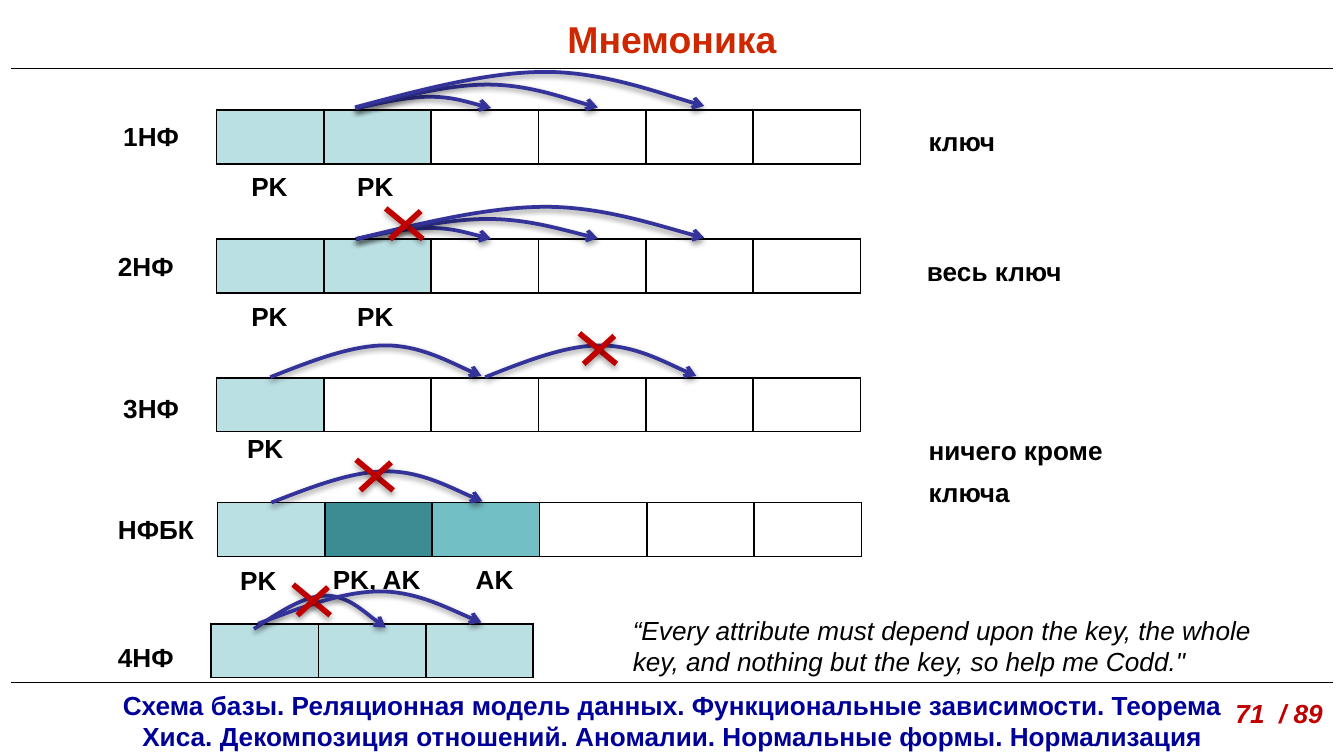
from dataclasses import dataclass, field

from lxml import etree
from pptx import Presentation
from pptx import util as u
from pptx.dml.color import RGBColor
from pptx.enum import shapes, text
from pptx.oxml.ns import qn

FONT = "Arial"
BLACK, WHITE = "000000", "FFFFFF"
KEY, SHARED_KEY, ALT_KEY = "BBE0E3", "3C8C93", "72BFC5"
ARC, CROSS = "333399", "C00000"
CELL_WIDTH, CELL_HEIGHT = 2.03, 1.02


# All lengths in the records are centimetres
@dataclass
class Label:
    words: str
    left: float
    top: float
    width: float = 2.8
    height: float = 0.86
    indent: float = 0.99


@dataclass
class Arc:
    left: float
    base: float
    width: float
    height: float


@dataclass
class NormalForm:
    left: float
    top: float
    fills: list[str]
    labels: list[Label]
    arcs: list[Arc]
    crosses: list[tuple[float, float]] = field(default_factory=list)


FORMS = [
    NormalForm(4.09, 2.08, [KEY] * 2 + [WHITE] * 4,
               [Label("1НФ", 1.09, 2.16), Label("PK", 3.51, 3.1), Label("PK", 5.51, 3.1),
                Label("ключ", 16.31, 2.24)],
               [Arc(6.73, 2.05, 2.55, 0.22), Arc(6.73, 2.05, 4.57, 0.45),
                Arc(6.71, 2.03, 6.6, 0.67)]),
    NormalForm(4.09, 4.52, [KEY] * 2 + [WHITE] * 4,
               [Label("2НФ", 0.99, 4.6), Label("PK", 3.51, 5.56), Label("PK", 5.51, 5.56),
                Label("весь ключ", 16.28, 4.7, 4.22)],
               [Arc(6.73, 4.52, 2.55, 0.21), Arc(6.73, 4.52, 4.57, 0.38),
                Arc(6.73, 4.52, 6.58, 0.61)],
               [(7.29, 3.94)]),
    NormalForm(4.09, 7.14, [KEY] + [WHITE] * 5,
               [Label("3НФ", 1.09, 7.29), Label("PK", 3.43, 8.05),
                Label("ничего кроме\nключа", 16.31, 8.08, 6.6, 1.68)],
               [Arc(5.11, 7.13, 3.99, 0.6), Arc(9.17, 7.13, 3.99, 0.6)],
               [(10.95, 6.3)]),
    NormalForm(4.11, 9.5, [KEY, SHARED_KEY, ALT_KEY] + [WHITE] * 3,
               [Label("НФБК", 0.99, 9.58, 3), Label("PK", 3.3, 10.54),
                Label("PK, AK", 5.05, 10.52, 3.4), Label("AK", 8.74, 10.52, 1.45, indent=0)],
               [Arc(5.13, 9.5, 3.99, 0.59)],
               [(6.73, 8.69)]),
    NormalForm(3.99, 11.79, [KEY] * 3,
               [Label("4НФ", 0.99, 11.99, 3)],
               [Arc(4.8, 11.89, 2.49, 0.63), Arc(4.88, 11.79, 4.22, 0.61)],
               [(5.54, 11.05)]),
]


def rgb(color: str) -> RGBColor:
    return RGBColor.from_string(color)


def child(parent, tag: str, **attributes):
    return etree.SubElement(parent, qn(tag), {k: str(v) for k, v in attributes.items()})


def format_runs(frame, size: float, color: str, bold=False, italic=False) -> None:
    for paragraph in frame.paragraphs:
        for run in paragraph.runs:
            font = run.font
            font.name, font.size, font.bold, font.italic = FONT, u.Pt(size), bold, italic
            font.color.rgb = rgb(color)


def add_text(slide, words: str, left: float, top: float, width: float, height: float,
             color: str = BLACK, bold=False, italic=False):
    box = slide.shapes.add_textbox(u.Cm(left), u.Cm(top), u.Cm(width), u.Cm(height))
    frame = box.text_frame
    frame.word_wrap = True
    frame.text = words
    format_runs(frame, 14, color, bold, italic)
    return frame


def add_label(slide, label: Label) -> None:
    frame = add_text(slide, label.words, label.left, label.top, label.width, label.height,
                     bold=True)
    for paragraph in frame.paragraphs:
        paragraph.alignment = text.PP_ALIGN.JUSTIFY
        paragraph.space_after = u.Pt(6)
        paragraph._p.get_or_add_pPr().set("indent", str(u.Cm(label.indent)))


def set_shadow(shape, opacity: int = 0, distance: float = 0) -> None:
    effects = child(shape._element.spPr, "a:effectLst")
    if opacity:
        shadow = child(effects, "a:outerShdw", blurRad=u.Pt(3.1), dist=u.Pt(distance),
                       dir=90 * 60000, rotWithShape=0)
        child(child(shadow, "a:srgbClr", val=BLACK), "a:alpha", val=opacity * 1000)


def add_line(slide, x1: float, y1: float, x2: float, y2: float, color: str, width: float):
    line = slide.shapes.add_connector(shapes.MSO_CONNECTOR.STRAIGHT,
                                      u.Cm(x1), u.Cm(y1), u.Cm(x2), u.Cm(y2))
    line.line.color.rgb = rgb(color)
    line.line.width = u.Pt(width)
    return line


def add_cross(slide, left: float, top: float) -> None:
    for start, end in (((0, 0), (0.7, 0.58)), ((0.66, 0.05), (0.08, 0.58))):
        stroke = add_line(slide, left + start[0], top + start[1],
                          left + end[0], top + end[1], CROSS, 3)
        set_shadow(stroke, 35, 1.8)


def add_arc(slide, arc: Arc) -> None:
    width, height = u.Cm(arc.width), u.Cm(arc.height)
    left, top = u.Cm(arc.left), u.Cm(arc.base) - height
    # Rise to the peak, then fall to the arrowhead, as fractions of the box
    halves = [[(0.19, 0.5), (0.38, 0), (0.545, 0)], [(0.71, 0), (0.91, 0.73), (1, 0.96)]]
    builder = slide.shapes.build_freeform(left, top + height)
    builder.add_line_segments([(left + int(width * half[-1][0]), top + int(height * half[-1][1]))
                               for half in halves], close=False)
    curve = builder.convert_to_shape()
    # Bend each straight segment
    for segment, half in zip(list(curve._element.iter(qn("a:lnTo"))), halves):
        bend = etree.Element(qn("a:cubicBezTo"))
        for x, y in half:
            child(bend, "a:pt", x=int(width * x), y=int(height * y))
        segment.getparent().replace(segment, bend)
    curve.fill.background()
    curve.line.color.rgb = rgb(ARC)
    curve.line.width = u.Pt(2)
    child(curve.line._get_or_add_ln(), "a:tailEnd", type="arrow")
    set_shadow(curve, 38, 1.6)


def add_relation(slide, form: NormalForm) -> None:
    count = len(form.fills)
    table = slide.shapes.add_table(1, count, u.Cm(form.left), u.Cm(form.top),
                                   u.Cm(CELL_WIDTH * count), u.Cm(CELL_HEIGHT)).table
    table.first_row = table.horz_banding = False
    for column, cell, color in zip(table.columns, table.rows[0].cells, form.fills):
        column.width = u.Cm(CELL_WIDTH)
        cell.margin_top = cell.margin_bottom = 0
        properties = cell._tc.get_or_add_tcPr()
        for side in "LRTB":
            border = child(properties, f"a:ln{side}", w=u.Pt(1))
            child(child(border, "a:solidFill"), "a:srgbClr", val=BLACK)
        cell.fill.solid()
        cell.fill.fore_color.rgb = rgb(color)


def main() -> None:
    deck = Presentation()
    deck.slide_width, deck.slide_height = u.Cm(25.4), u.Cm(14.29)
    slide = deck.slides.add_slide(deck.slide_layouts[5])

    # Title
    title = slide.shapes.title
    title.left, title.top, title.width, title.height = 0, u.Cm(0.15), u.Cm(25.4), u.Cm(1.14)
    heading = title.text_frame
    heading.text = "Мнемоника"
    heading.auto_size = text.MSO_AUTO_SIZE.NONE
    heading.vertical_anchor = text.MSO_ANCHOR.MIDDLE
    heading.paragraphs[0].alignment = text.PP_ALIGN.CENTER
    format_runs(heading, 20, "CE2800", bold=True)

    # Rules and footer
    for y in (1.3, 12.9):
        set_shadow(add_line(slide, 0.2, y, 25.2, y, BLACK, 0.75))
    topic = add_text(slide, "Схема базы. Реляционная модель данных. Функциональные зависимости. "
                     "Теорема Хиса. Декомпозиция отношений. Аномалии. Нормальные формы. "
                     "Нормализация", 2, 12.9, 21.42, 1.45, "000099", bold=True)
    topic.paragraphs[0].alignment = text.PP_ALIGN.CENTER
    add_text(slide, "71  / 89", 23.1, 13.06, 2.59, 0.86, CROSS, bold=True, italic=True)

    # Normal forms with their dependencies
    for form in FORMS:
        add_relation(slide, form)
        for label in form.labels:
            add_label(slide, label)
        for arc in form.arcs:
            add_arc(slide, arc)
        for left, top in form.crosses:
            add_cross(slide, left, top)

    # Quotation
    add_text(slide, "“Every attribute must depend upon the key, the whole key, and nothing "
             "but the key, so help me Codd.\"", 11.71, 11.48, 12.7, 1.45, italic=True)

    deck.save("out.pptx")


if __name__ == "__main__":
    main()
